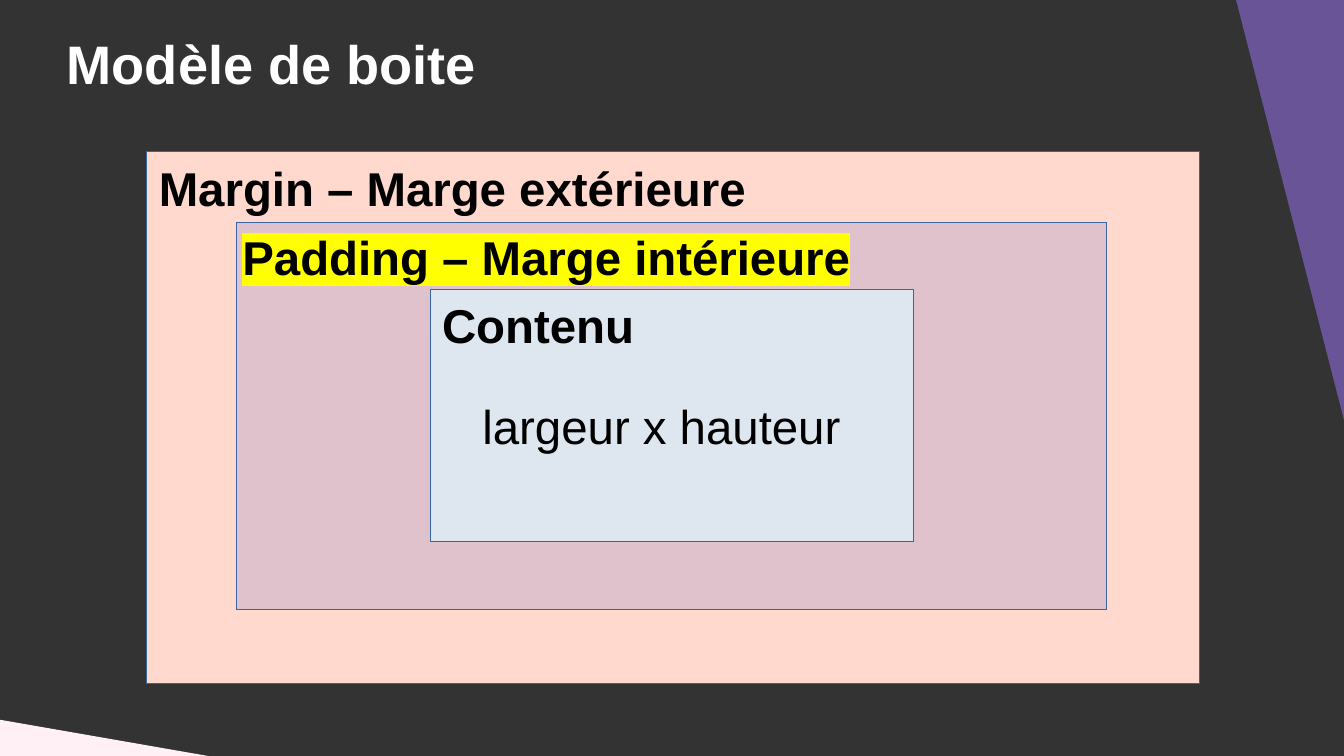
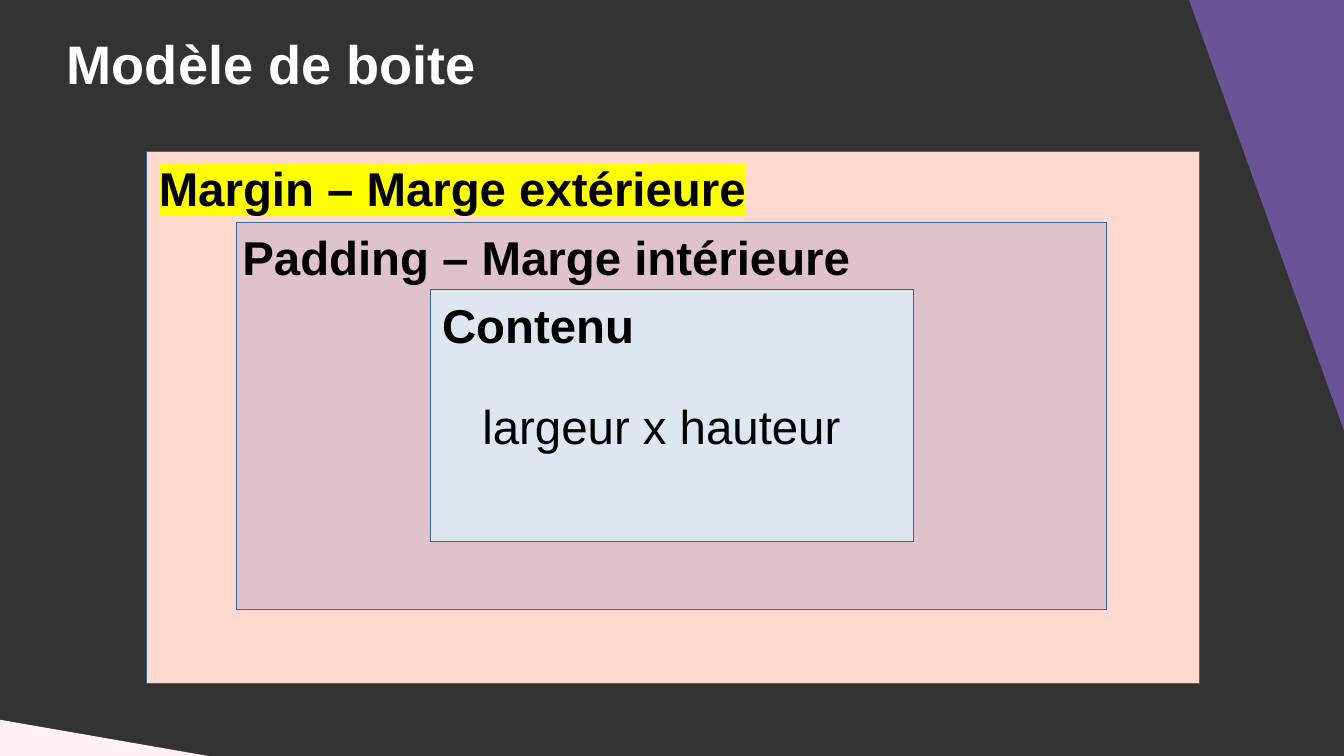
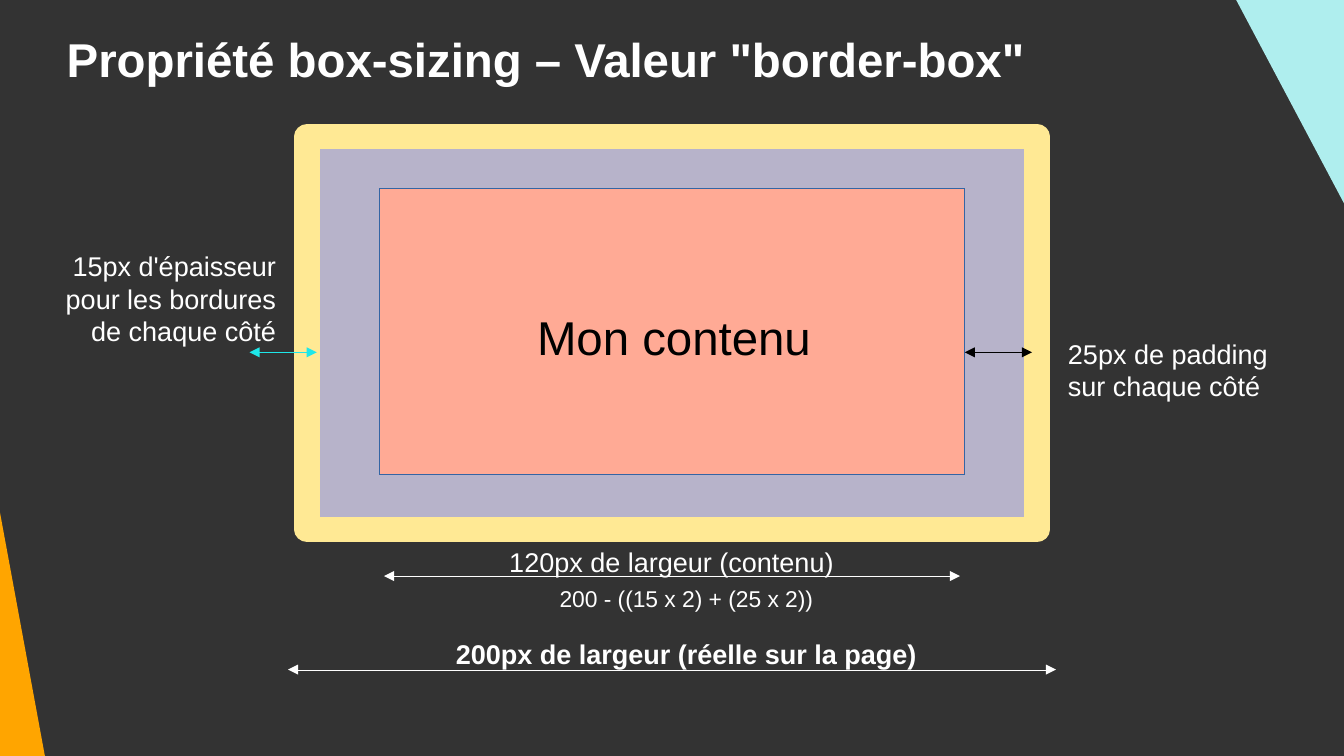
from dataclasses import dataclass

from lxml import etree
from pptx import Presentation
from pptx.dml.color import RGBColor
from pptx.enum.shapes import MSO_CONNECTOR, MSO_SHAPE
from pptx.enum.text import MSO_ANCHOR, MSO_AUTO_SIZE, PP_ALIGN
from pptx.oxml.ns import qn
from pptx.util import Cm, Pt


@dataclass(frozen=True)
class Theme:
    font: str = "Arial"
    background: str = "333333"
    white: str = "FFFFFF"
    black: str = "000000"
    purple: str = "685496"
    blush: str = "FFF0F5"
    orange: str = "FFA500"
    turquoise: str = "AFEEEE"
    outline: str = "3465A4"
    highlight: str = "FFFF00"
    margin: str = "FFD8CE"
    padding: str = "E0C2CD"
    content: str = "DEE6EF"
    border: str = "FFE994"
    border_padding: str = "B7B3CA"
    border_content: str = "FFAA95"
    border_arrow: str = "1EE7E9"
    title_size: float = 32
    large: float = 28
    note: float = 16
    formula: float = 13.5
    hairline: float = 0
    border_width: float = 15


THEME = Theme()
SLIDE_WIDTH, SLIDE_HEIGHT = 28, 15.75


def rgb(value):
    return RGBColor.from_string(value)


def format_run(r, size, color, bold=False, highlight=None):
    r.font.name = THEME.font
    r.font.size = Pt(size)
    r.font.bold = bold
    r.font.color.rgb = rgb(color)
    if highlight:
        mark = etree.Element(qn("a:highlight"))
        etree.SubElement(mark, qn("a:srgbClr"), val=highlight)
        r.font._element.find(qn("a:solidFill")).addnext(mark)


def format_line(sp, color, width):
    sp.line.color.rgb = rgb(color)
    ln = sp.line._get_or_add_ln()
    ln.set("w", str(int(Pt(width))))
    return ln


def set_up_template(prs):
    prs.slide_width, prs.slide_height = Cm(SLIDE_WIDTH), Cm(SLIDE_HEIGHT)
    fill = prs.slide_master.background.fill
    fill.solid()
    fill.fore_color.rgb = rgb(THEME.background)
    layout = prs.slide_layouts.get_by_name("Title Only")
    title = next(sp for sp in layout.placeholders if sp.placeholder_format.idx == 0)
    title.left, title.top, title.width, title.height = Cm(1.39), Cm(0.63), Cm(25.2), Cm(1.28)
    tf = title.text_frame
    tf.margin_left = tf.margin_right = tf.margin_top = tf.margin_bottom = 0
    tf.vertical_anchor = MSO_ANCHOR.TOP
    return layout


def add_titled_slide(prs, layout, text, size):
    slide = prs.slides.add_slide(layout)
    p = slide.shapes.title.text_frame.paragraphs[0]
    p.text = text
    p.alignment = PP_ALIGN.LEFT
    format_run(p.runs[0], size, THEME.white, bold=True)
    return slide


def add_filled(slide, kind, box, fill):
    sp = slide.shapes.add_shape(kind, *map(Cm, box))
    sp.shadow.inherit = False
    sp.fill.solid()
    sp.fill.fore_color.rgb = rgb(fill)
    return sp


def add_corner(slide, box, fill, rotation=0):
    sp = add_filled(slide, MSO_SHAPE.RIGHT_TRIANGLE, box, fill)
    sp.line.fill.background()
    sp.rotation = rotation


def add_box(slide, box, fill, line=THEME.outline, width=THEME.hairline):
    sp = add_filled(slide, MSO_SHAPE.RECTANGLE, box, fill)
    format_line(sp, line, width)


def add_label(slide, box, text, size=THEME.large, color=THEME.black,
              align=PP_ALIGN.LEFT, bold=False, highlight=None):
    tf = slide.shapes.add_textbox(*map(Cm, box)).text_frame
    tf.word_wrap = True
    tf.auto_size = MSO_AUTO_SIZE.SHAPE_TO_FIT_TEXT
    p = tf.paragraphs[0]
    p.text = text
    p.alignment = align
    format_run(p.runs[0], size, color, bold, highlight)


def add_measure(slide, x1, x2, y, color):
    line = slide.shapes.add_connector(MSO_CONNECTOR.STRAIGHT, Cm(x1), Cm(y), Cm(x2), Cm(y))
    ln = format_line(line, color, THEME.hairline)
    for end in ("a:headEnd", "a:tailEnd"):
        etree.SubElement(ln, qn(end), type="triangle")
    etree.SubElement(line._element.spPr, qn("a:effectLst"))


def add_box_model(prs, layout, highlighted, corner_left):
    slide = add_titled_slide(prs, layout, "Modèle de boite", THEME.title_size)
    add_corner(slide, (corner_left, -1.37, 28.2 - corner_left, 10.9), THEME.purple, 180)
    add_corner(slide, (-1.93, 14.66, 17.53, 3.05), THEME.blush)
    layers = (
        ("Margin – Marge extérieure", THEME.margin,
         (3.05, 3.16, 21.94, 11.08), (3.06, 3.18)),
        ("Padding – Marge intérieure", THEME.padding,
         (4.93, 4.63, 18.13, 8.06), (4.8, 4.63)),
        ("Contenu", THEME.content,
         (8.97, 6.04, 10.07, 5.24), (8.96, 6.04)),
    )
    for text, fill, box, label_corner in layers:
        add_box(slide, box, fill)
        mark = THEME.highlight if text.startswith(highlighted) else None
        add_label(slide, (*label_corner, 16.8, 1.35), text, bold=True, highlight=mark)
    add_label(slide, (9.8, 8.15, 8.41, 1.35), "largeur x hauteur")


def add_border_box(prs, layout):
    slide = add_titled_slide(
        prs, layout, 'Propriété box-sizing – Valeur "border-box"', THEME.large)
    add_corner(slide, (-1.52, 2.44, 2.54, 13.77), THEME.orange)
    add_corner(slide, (25.41, -0.65, 4.32, 8.15), THEME.turquoise, 180)
    add_box(slide, (6.4, 2.85, 15.21, 8.18), THEME.border_padding,
            THEME.border, THEME.border_width)
    add_box(slide, (7.9, 3.93, 12.2, 5.96), THEME.border_content)
    add_label(slide, (10, 6.3, 8.08, 1.35), "Mon contenu", align=PP_ALIGN.CENTER)
    for x1, x2, y, color in (
        (8, 20, 12, THEME.white),
        (6, 22, 13.95, THEME.white),
        (5.2, 6.6, 7.34, THEME.border_arrow),
        (20.1, 21.5, 7.34, THEME.black),
    ):
        add_measure(slide, x1, x2, y, color)
    for box, text, size, align, bold in (
        ((9.75, 11.23, 8.48, 0.9), "120px de largeur (contenu)",
         THEME.note, PP_ALIGN.CENTER, False),
        ((8.8, 13.16, 11, 0.9), "200px de largeur (réelle sur la page)",
         THEME.note, PP_ALIGN.CENTER, True),
        ((8.8, 12.05, 11, 0.8), "200 - ((15 x 2) + (25 x 2))",
         THEME.formula, PP_ALIGN.CENTER, False),
        ((0.8, 5.08, 5.2, 2.3), "15px d'épaisseur pour les bordures de chaque côté",
         THEME.note, PP_ALIGN.RIGHT, False),
        ((22, 6.9, 5.2, 1.78), "25px de padding sur chaque côté",
         THEME.note, PP_ALIGN.LEFT, False),
    ):
        add_label(slide, box, text, size, THEME.white, align, bold)


def main():
    prs = Presentation()
    layout = set_up_template(prs)
    add_box_model(prs, layout, "Padding", 25.4)
    add_box_model(prs, layout, "Margin", 24.28)
    add_border_box(prs, layout)
    prs.save("out.pptx")


if __name__ == "__main__":
    main()
